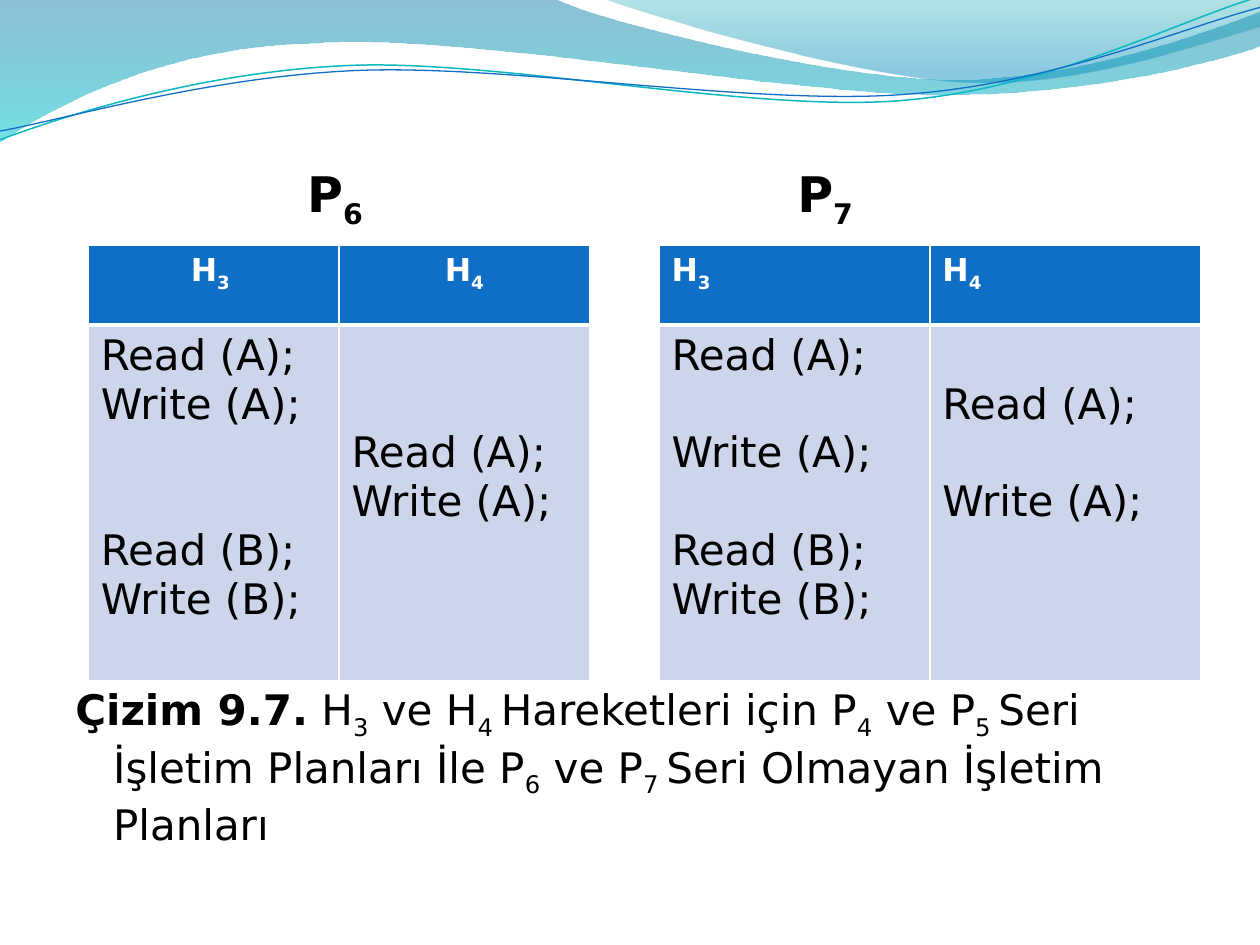
"""Build a slide with two schedules of transactions under a wave header."""
import math
from dataclasses import dataclass

from lxml import etree
from pptx import Presentation
from pptx import util as u
from pptx.dml.color import RGBColor
from pptx.enum import text
from pptx.oxml import ns


@dataclass(frozen=True)
class Theme:
    """Colours, type sizes and the grid unit."""
    font: str = "DejaVu Sans"
    ink: str = "000000"
    paper: str = "FFFFFF"
    header: str = "0F6FC6"
    body: str = "CCD5EA"
    teal: str = "0AB8BF"
    title_size: int = 28
    body_size: int = 24
    header_size: int = 18
    line_height: float = 27.8
    unit: float = 0.1


THEME = Theme()

BACK_WAVE = ((0, 0), [
    [(4.4, -0.01)],
    [(4.76, 0.17), (6.64, 0.63), (7.58, 0.63)],
    [(8.53, 0.63), (9.58, 0.26), (10, 0.09)],
    [(10.01, 0.36)],
    [(9.83, 0.44), (8.7, 0.76), (7.46, 0.75)],
    [(6.22, 0.75), (3.82, 0.28), (2.57, 0.34)],
    [(1.29, 0.36), (0.46, 0.83), (-0.01, 1.13)]])
FRONT_WAVE = ((4.79, -0.01), [
    [(5.09, 0.11), (6.82, 0.62), (7.69, 0.65)],
    [(8.56, 0.69), (9.61, 0.32), (10, 0.21)],
    [(10, 0)]])
TEAL_LINE = ((0, 1.11), [
    [(0.48, 0.93), (1.58, 0.57), (2.77, 0.52)],
    [(3.95, 0.47), (5.93, 0.89), (7.13, 0.8)],
    [(8.33, 0.71), (9.38, 0.15), (9.98, -0.02)]])
BLUE_LINE = ((0, 1.04), [
    [(0.47, 0.96), (1.64, 0.61), (2.83, 0.56)],
    [(4.03, 0.51), (5.97, 0.84), (7.17, 0.75)],
    [(8.36, 0.67), (9.41, 0.21), (10, 0.06)]])


def rgb(value):
    """Return a colour from its hex digits."""
    return RGBColor.from_string(value)


def grid(count):
    """Return the length of a number of grid units."""
    return u.Inches(THEME.unit * count)


def turn(point, degrees):
    """Rotate a point clockwise about the page corner."""
    angle = math.radians(degrees)
    x, y = point
    return (x * math.cos(angle) - y * math.sin(angle),
            x * math.sin(angle) + y * math.cos(angle))


def add_curve(shapes, outline, closed, rotation=0):
    """Add a freeform of straight and cubic segments."""
    start, segments = outline
    points = [start] + [point for segment in segments for point in segment]
    level = [tuple(u.Inches(v) for v in turn(point, -rotation)) for point in points]
    builder = shapes.build_freeform(*level[0], scale=1.0)
    builder.add_line_segments(level[1:], close=closed)
    shape = builder.convert_to_shape()
    strokes = iter(shape._element.findall(".//" + ns.qn("a:lnTo")))
    for segment in segments:
        nodes = [next(strokes) for _ in segment]
        if len(nodes) == 3:
            nodes[0].addprevious(cubic := etree.Element(ns.qn("a:cubicBezTo")))
            for node in nodes:
                cubic.append(node[0])
                node.getparent().remove(node)
    middle = (shape.left + shape.width / 2, shape.top + shape.height / 2)
    x, y = turn(middle, rotation)
    shape.left, shape.top = round(x - shape.width / 2), round(y - shape.height / 2)
    shape.rotation = rotation
    shape.shadow.inherit = False
    return shape


def add_wave(page, outline, stops):
    """Add a wave with a translucent vertical gradient."""
    shape = add_curve(page.shapes, outline, True)
    shape.line.fill.background()
    shape.fill.gradient()
    shape.fill.gradient_angle = 270
    for stop, (position, color, opacity) in zip(shape.fill.gradient_stops, stops):
        stop.position = position
        stop.color.rgb = rgb(color)
        node = stop._gs.find(ns.qn("a:srgbClr"))
        etree.SubElement(node, ns.qn("a:alpha"), val=str(opacity * 1000))


def add_wave_line(group, outline, color, points):
    """Add a thin curved line."""
    shape = add_curve(group.shapes, outline, False, 357.3)
    shape.fill.background()
    shape.line.color.rgb = rgb(color)
    shape.line.width = u.Pt(points)


def write(para, marked, size, color, bold=False):
    """Write runs in which text between bars is lowered."""
    for index, piece in enumerate(marked.split("|")):
        if not piece:
            continue
        span = para.add_run()
        span.text = piece
        span.font.name = THEME.font
        span.font.size = u.Pt(size)
        span.font.bold = bold
        span.font.color.rgb = rgb(color)
        if index % 2:
            span._r.get_or_add_rPr().set("baseline", "-25000")


def add_body(page):
    """Add the schedule names on tab stops and the caption below."""
    box = page.shapes.add_textbox(grid(5), grid(12.5), grid(90), grid(56.7))
    box.text_frame.word_wrap = True
    names = box.text_frame.paragraphs[0]
    stops = etree.SubElement(names._p.get_or_add_pPr(), ns.qn("a:tabLst"))
    for column in (18.4, 57.3):
        etree.SubElement(stops, ns.qn("a:tab"), pos=str(grid(column)), algn="l")
    write(names, "\tP|6|\tP|7|", THEME.title_size, THEME.ink, bold=True)
    caption = box.text_frame.add_paragraph()
    caption.space_before = u.Pt(259)
    props = caption._p.get_or_add_pPr()
    props.set("marL", str(grid(3)))
    props.set("indent", str(-grid(3)))
    write(caption, "Çizim 9.7.", THEME.body_size, THEME.ink, bold=True)
    write(caption, " H|3| ve H|4 |Hareketleri için P|4| ve P|5 |Seri İşletim Planları İle "
          "P|6| ve P|7 |Seri Olmayan İşletim Planları", THEME.body_size, THEME.ink)


def style_cell(cell, color, top, bottom):
    """Give a cell white borders and a fill."""
    props = cell._tc.get_or_add_tcPr()
    for side, points in (("L", 1), ("R", 1), ("T", top), ("B", bottom)):
        line = etree.SubElement(props, ns.qn(f"a:ln{side}"), w=str(u.Pt(points)))
        solid = etree.SubElement(line, ns.qn("a:solidFill"))
        etree.SubElement(solid, ns.qn("a:srgbClr"), val=THEME.paper)
    cell.fill.solid()
    cell.fill.fore_color.rgb = rgb(color)


def write_steps(cell, steps):
    """Place each step on its numbered line of the cell."""
    frame = cell.text_frame
    previous = -1
    for row, step in steps:
        gap = u.Pt(THEME.line_height * (row - previous - 1))
        if previous < 0:
            para = frame.paragraphs[0]
            cell.margin_top = u.Inches(0.05) + gap
        else:
            para = frame.add_paragraph()
            para.space_before = gap
        write(para, step, THEME.body_size, THEME.ink)
        previous = row


def add_schedule(page, left, width, align, columns):
    """Add a table with one column of steps per transaction."""
    rows = (grid(6.3), grid(28.2))
    table = page.shapes.add_table(2, len(columns), grid(left), grid(19.5),
                                  grid(width), sum(rows)).table
    table.first_row = table.horz_banding = False
    for row, height in zip(table.rows, rows):
        row.height = height
    for index, (name, steps) in enumerate(columns):
        head, body = table.cell(0, index), table.cell(1, index)
        style_cell(head, THEME.header, 1, 3)
        style_cell(body, THEME.body, 3, 1)
        para = head.text_frame.paragraphs[0]
        para.alignment = align
        write(para, name, THEME.header_size, THEME.paper, bold=True)
        write_steps(body, steps)


def main():
    """Build and save the slide."""
    deck = Presentation()
    deck.slide_width, deck.slide_height = grid(100), grid(75)
    page = deck.slides.add_slide(deck.slide_layouts[6])
    add_wave(page, BACK_WAVE, ((0, "0074A1", 45), (1, "00C6CF", 55)))
    add_wave(page, FRONT_WAVE, ((0, "00A1A9", 30), (0.8, "008BBF", 45)))
    lines = page.shapes.add_group_shape()
    add_wave_line(lines, TEAL_LINE, THEME.teal, 0.85)
    add_wave_line(lines, BLUE_LINE, THEME.header, 0.75)
    add_body(page)
    reads, writes = "Read (A);", "Write (A);"
    ending = [(4, "Read (B);"), (5, "Write (B);")]
    add_schedule(page, 7, 39.8, text.PP_ALIGN.CENTER,
                 [("H|3 |", [(0, reads), (1, writes), *ending]),
                  ("H|4|", [(2, reads), (3, writes)])])
    add_schedule(page, 52.3, 43, text.PP_ALIGN.LEFT,
                 [("H|3|", [(0, reads), (2, writes), *ending]),
                  ("H|4|", [(1, reads), (3, writes)])])
    deck.save("out.pptx")


main()
